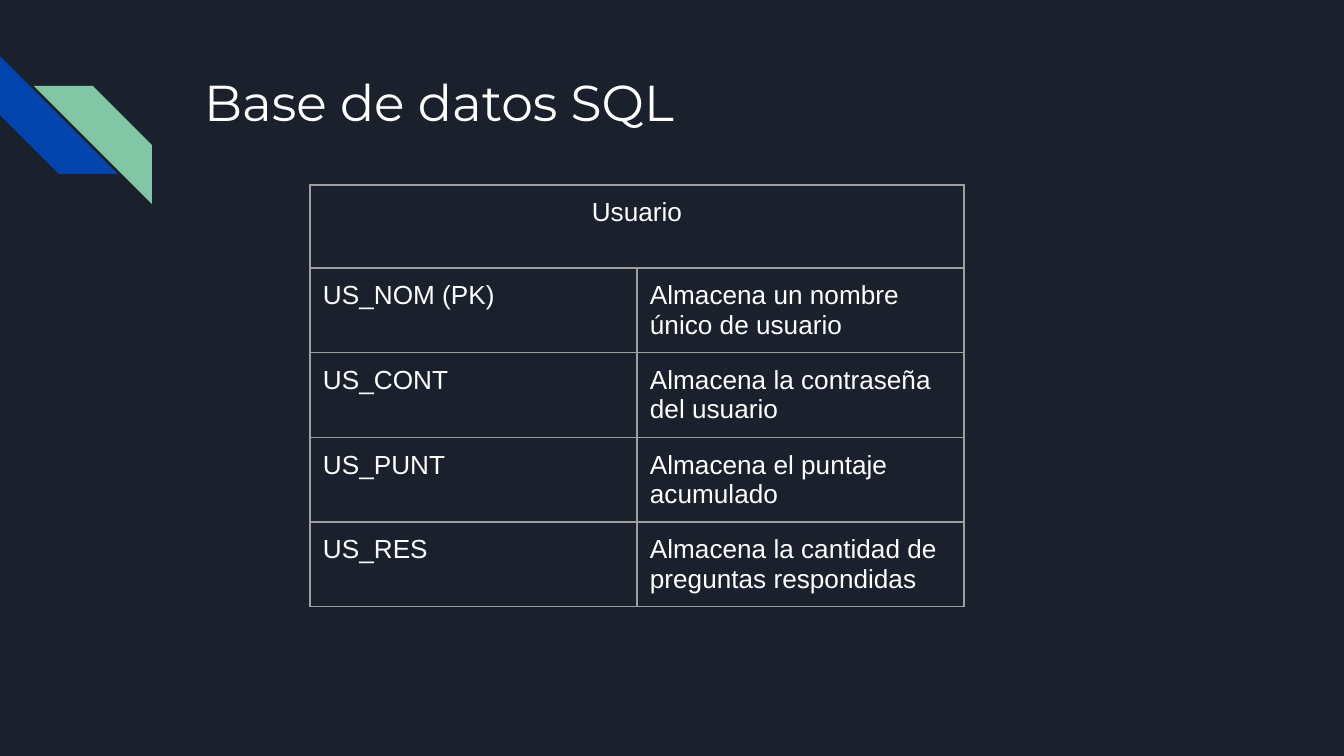
from lxml.etree import SubElement
from pptx import Presentation
from pptx.dml.color import RGBColor
from pptx.enum.shapes import MSO_SHAPE as Shape
from pptx.enum.text import MSO_ANCHOR as Anchor, MSO_AUTO_SIZE as AutoSize, PP_ALIGN as Align
from pptx.oxml.ns import qn
from pptx.util import Pt

PX = 914400 / 134.4
WHITE, GREY = "FFFFFF", "9E9E9E"


def px(*lengths):
    return [round(length * PX) for length in lengths]


def paint(color_format, color):
    color_format.rgb = RGBColor.from_string(color)


deck = Presentation()
deck.slide_width, deck.slide_height = px(1344, 756)
page = deck.slides.add_slide(deck.slide_layouts[5])
page.background.fill.solid()
paint(page.background.fill.fore_color, "1B212C")

# Corner stripes
for left, top, color in [(0, 56, "0145AC"), (34, 86, "82C7A5")]:
    stripe = page.shapes.add_shape(Shape.DIAGONAL_STRIPE, *px(left, top, 118, 118))
    stripe.shadow.inherit = False
    stripe.fill.solid()
    paint(stripe.fill.fore_color, color)
    stripe.line.fill.background()
    if left == 0:
        stripe.rotation = 270
    else:
        stripe._element.spPr.find(qn("a:xfrm")).set("flipH", "1")

# Title
title = page.shapes.title
title.left, title.top, title.width, title.height = px(191, 58, 1035, 134)
frame = title.text_frame
frame.text = "Base de datos SQL"
frame.word_wrap = True
frame.auto_size = AutoSize.NONE
frame.vertical_anchor = Anchor.TOP
frame.margin_left, frame.margin_right, frame.margin_top, frame.margin_bottom = px(13, 13, 13, 13)
para = frame.paragraphs[0]
para.alignment = Align.LEFT
para.font.size = Pt(27)
para.font.name = "Montserrat"
paint(para.font.color, WHITE)

# User table
rows = [
    ("Usuario", ""),
    ("US_NOM (PK)", "Almacena un nombre único de usuario"),
    ("US_CONT", "Almacena la contraseña del usuario"),
    ("US_PUNT", "Almacena el puntaje acumulado"),
    ("US_RES", "Almacena la cantidad de preguntas respondidas"),
]
table = page.shapes.add_table(len(rows), 2, *px(310, 185, 654, 399)).table
table.first_row = table.horz_banding = False
for number, row in enumerate(table.rows):
    row.height, = px(79 if number else 83)

for row, texts in zip(table.rows, rows):
    for cell, text in zip(row.cells, texts):
        cell.margin_left, cell.margin_right, cell.margin_top, cell.margin_bottom = px(13, 13, 13, 13)
        cell.text = text
        para = cell.text_frame.paragraphs[0]
        para.font.size = Pt(14)
        para.font.name = "Arial"
        paint(para.font.color, WHITE)
        # Cell borders come before the fill in the cell properties
        for side in ("a:lnL", "a:lnR", "a:lnT", "a:lnB"):
            line = SubElement(cell._tc.get_or_add_tcPr(), qn(side), w=str(Pt(0.75)))
            SubElement(SubElement(line, qn("a:solidFill")), qn("a:srgbClr"), val=GREY)
        cell.fill.background()

# Heading across both columns
heading = table.cell(0, 0)
heading.merge(table.cell(0, 1))
heading.text_frame.paragraphs[0].alignment = Align.CENTER

deck.save("out.pptx")
